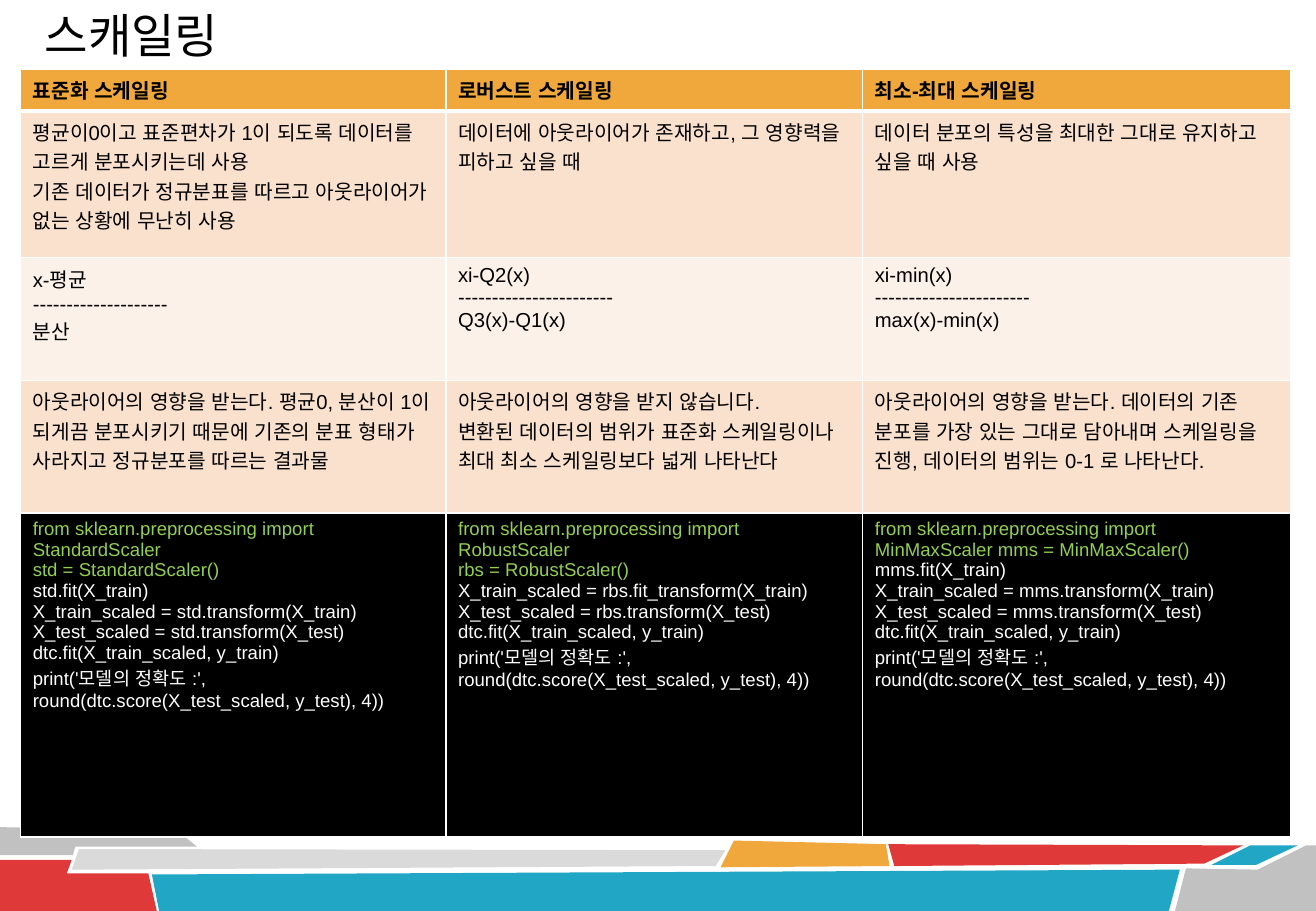
from lxml import etree
from pptx import Presentation
from pptx.dml.color import RGBColor
from pptx.enum.lang import MSO_LANGUAGE_ID
from pptx.enum.text import MSO_ANCHOR, PP_ALIGN
from pptx.oxml.ns import qn
from pptx.util import Inches, Pt

KOREAN = MSO_LANGUAGE_ID.KOREAN
LEFT = PP_ALIGN.LEFT
TOP = MSO_ANCHOR.TOP

COLORS = {
    "black": "000000", "white": "FFFFFF", "green": "92D050",
    "orange": "F0A73C", "peach": "F9E1CE", "cream": "FCF1E8",
    "gray": "C1C1C1", "silver": "DADADA", "red": "DF3939", "blue": "21A6C5",
}

# Footer bands: colour and corner points
BANDS = [
    ("gray", [(0, 6.81), (1.46, 6.84), (1.62, 6.97), (0.62, 6.97), (0.6, 7.04), (0, 7.04)]),
    ("red", [(0, 7.08), (0.59, 7.08), (0.55, 7.19), (1.22, 7.19), (1.29, 7.5), (0, 7.5)]),
    ("silver", [(0.65, 6.99), (5.97, 7), (5.89, 7.13), (0.59, 7.16)]),
    ("blue", [(1.25, 7.2), (9.71, 7.16), (9.62, 7.5), (1.31, 7.5)]),
    ("orange", [(6.04, 6.92), (7.29, 6.95), (7.32, 7.13), (5.93, 7.14)]),
    ("red", [(7.31, 6.95), (10.23, 6.96), (9.91, 7.11), (7.36, 7.13)]),
    ("blue", [(10.29, 6.96), (10.68, 6.96), (10.34, 7.12), (9.97, 7.12)]),
    ("gray", [(9.76, 7.15), (10.35, 7.16), (10.75, 6.96), (10.83, 6.96), (10.83, 7.5), (9.67, 7.5)]),
]

# Table content: each cell is a list of paragraphs
HEADERS = [["표준화 스케일링"], ["로버스트 스케일링"], ["최소-최대 스케일링"]]
USES = [
    ["평균이0이고 표준편차가 1이 되도록 데이터를 고르게 분포시키는데 사용",
     "기존 데이터가 정규분표를 따르고 아웃라이어가 없는 상황에 무난히 사용"],
    ["데이터에 아웃라이어가 존재하고, 그 영향력을 피하고 싶을 때"],
    ["데이터 분포의 특성을 최대한 그대로 유지하고 싶을 때 사용"],
]
FORMULAS = [
    ["x-평균", "-" * 20, "분산"],
    ["xi-Q2(x)", "-" * 23, "Q3(x)-Q1(x)"],
    ["xi-min(x)", "-" * 23, "max(x)-min(x)"],
]
TRAITS = [
    ["아웃라이어의 영향을 받는다. 평균0, 분산이 1이 되게끔 분포시키기 때문에 "
     "기존의 분표 형태가 사라지고 정규분포를 따르는 결과물"],
    ["아웃라이어의 영향을 받지 않습니다.",
     "변환된 데이터의 범위가 표준화 스케일링이나 최대 최소 스케일링보다 넓게 나타난다"],
    ["아웃라이어의 영향을 받는다. 데이터의 기존 분포를 가장 있는 그대로 담아내며 "
     "스케일링을 진행, 데이터의 범위는 0-1 로 나타난다."],
]


def transform_code(name, first="transform"):
    return [
        f"X_train_scaled = {name}.{first}(X_train) "
        f"X_test_scaled = {name}.transform(X_test) dtc.fit(X_train_scaled, y_train)",
        "print('모델의 정확도 :', round(dtc.score(X_test_scaled, y_test), 4))",
    ]


IMPORT = "from sklearn.preprocessing import "
# Setup lines are green, the remaining lines white
SETUP = [
    [IMPORT + "StandardScaler", "std = StandardScaler()"],
    [IMPORT + "RobustScaler", "rbs = RobustScaler()"],
    [IMPORT + "MinMaxScaler mms = MinMaxScaler()"],
]
RUN = [
    ["std.fit(X_train)"] + transform_code("std"),
    transform_code("rbs", "fit_transform"),
    ["mms.fit(X_train)"] + transform_code("mms"),
]
CODE = [setup + run for setup, run in zip(SETUP, RUN)]

# Height, fill, cells, text format
ROWS = [
    (0.33, "orange", HEADERS, {"bold": True}),
    (1.21, "peach", USES, {}),
    (1.01, "cream", FORMULAS, {}),
    (1.09, "peach", TRAITS, {}),
    (2.67, "black", CODE, {"size": 11, "color": "white"}),
]
COLUMNS = [3.5, 3.43, 3.52]


def rgb(name):
    return RGBColor.from_string(COLORS[name])


def write(tf, paragraphs, size=12, color="black", bold=False, lead=0, lead_color="green"):
    """Write paragraphs; the first `lead` of them take lead_color."""
    for i, text in enumerate(paragraphs):
        p = tf.paragraphs[0] if i == 0 else tf.add_paragraph()
        p.alignment = LEFT
        r = p.add_run()
        r.text = text
        r.font.name = "Arial"
        r.font.size = Pt(size)
        r.font.bold = bold
        r.font.language_id = KOREAN
        r.font.color.rgb = rgb(lead_color if i < lead else color)


class SlideBuilder:
    def __init__(self, slide):
        self.s = slide

    def band(self, color, points):
        corners = [(Inches(x), Inches(y)) for x, y in points]
        builder = self.s.shapes.build_freeform(*corners[0])
        builder.add_line_segments(corners[1:], close=True)
        sp = builder.convert_to_shape()
        sp.shadow.inherit = False
        sp.fill.solid()
        sp.fill.fore_color.rgb = rgb(color)
        sp.line.fill.background()

    def title(self, text, x, y, w, h):
        sp = self.s.shapes.add_textbox(Inches(x), Inches(y), Inches(w), Inches(h))
        sp.text_frame.word_wrap = False
        write(sp.text_frame, [text], size=28)

    def borders(self, cell, widths):
        tcPr = cell._tc.get_or_add_tcPr()
        for i, (side, width) in enumerate(widths.items()):
            ln = etree.Element(qn(f"a:ln{side}"), w=str(Pt(width)))
            fill = etree.SubElement(ln, qn("a:solidFill"))
            etree.SubElement(fill, qn("a:srgbClr"), val=COLORS["white"])
            tcPr.insert(i, ln)

    def table(self, x, y, columns, rows):
        height = sum(row[0] for row in rows)
        frame = self.s.shapes.add_table(len(rows), len(columns), Inches(x), Inches(y),
                                        Inches(sum(columns)), Inches(height))
        table = frame.table
        for column, width in zip(table.columns, columns):
            column.width = Inches(width)
        for i, (row_height, fill, cells, style) in enumerate(rows):
            table.rows[i].height = Inches(row_height)
            for j, paragraphs in enumerate(cells):
                cell = table.cell(i, j)
                cell.vertical_anchor = TOP
                cell.fill.solid()
                cell.fill.fore_color.rgb = rgb(fill)
                lead = len(SETUP[j]) if cells is CODE else 0
                write(cell.text_frame, paragraphs, lead=lead, **style)
                self.borders(cell, {"L": 1, "R": 1, "T": 3 if i == 1 else 1,
                                    "B": 3 if i == 0 else 1})


def main():
    prs = Presentation()
    prs.slide_width, prs.slide_height = Inches(10.83), Inches(7.5)
    page = SlideBuilder(prs.slides.add_slide(prs.slide_layouts[6]))

    # Footer decoration
    for color, points in BANDS:
        page.band(color, points)

    # Comparison table and title
    page.table(0.17, 0.57, COLUMNS, ROWS)
    page.title("스캐일링", 0.27, 0, 1.77, 0.57)

    prs.save("out.pptx")


if __name__ == "__main__":
    main()
